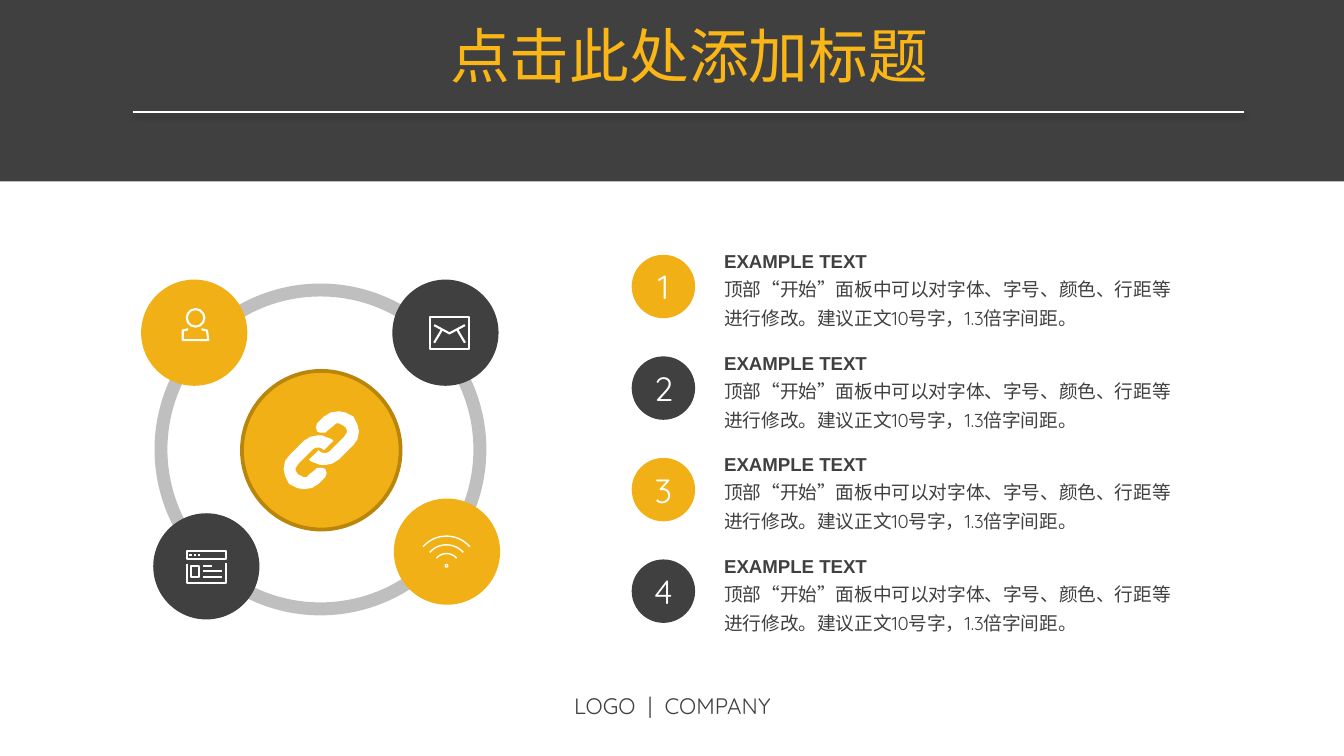
from dataclasses import dataclass
from math import cos, radians, sin

from lxml import etree
from pptx import Presentation
from pptx.dml.color import RGBColor
from pptx.enum.shapes import MSO_CONNECTOR, MSO_SHAPE
from pptx.enum.text import MSO_ANCHOR, MSO_AUTO_SIZE, PP_ALIGN
from pptx.oxml.ns import qn
from pptx.util import Pt

OVAL, RECT, DONUT = MSO_SHAPE.OVAL, MSO_SHAPE.RECTANGLE, MSO_SHAPE.DONUT
STRAIGHT = MSO_CONNECTOR.STRAIGHT
LEFT, CENTER = PP_ALIGN.LEFT, PP_ALIGN.CENTER
MIDDLE = MSO_ANCHOR.MIDDLE
GROW = MSO_AUTO_SIZE.SHAPE_TO_FIT_TEXT

COLORS = {"amber": "F1B015", "amber_edge": "B9860B", "title": "F9B616",
          "dark": "404040", "ring": "BFBFBF", "white": "FFFFFF", "black": "000000"}
DISPLAY, HEADING = "Quicksand", "Arial"
BODY = "顶部“开始”面板中可以对字体、字号、颜色、行距等进行修改。建议正文10号字，1.3倍字间距。"
ICON_LINE, THIN_LINE = 1.13, 0.75


@dataclass
class Box:
    left: float
    top: float
    width: float
    height: float

    def lengths(self) -> list:
        return [Pt(v) for v in (self.left, self.top, self.width, self.height)]


@dataclass
class Style:
    size: float
    color: str
    font: str = DISPLAY
    bold: bool = False
    align: PP_ALIGN = LEFT
    spacing: float = 1.0


def rgb(name: str) -> RGBColor:
    return RGBColor.from_string(COLORS[name])


def paint(shape, fill: str = "", line: str = "", weight: float = 1) -> None:
    shape.shadow.inherit = False
    if fill:
        shape.fill.solid()
        shape.fill.fore_color.rgb = rgb(fill)
    else:
        shape.fill.background()
    if line:
        shape.line.color.rgb = rgb(line)
        shape.line.width = Pt(weight)
    else:
        shape.line.fill.background()


def draw_shape(shapes, kind: MSO_SHAPE, box: Box, fill: str = "", line: str = "",
               weight: float = 1):
    shape = shapes.add_shape(kind, *box.lengths())
    paint(shape, fill, line, weight)
    return shape


def draw_line(shapes, start: tuple, end: tuple, weight: float = ICON_LINE):
    line = shapes.add_connector(STRAIGHT, *[Pt(v) for v in (*start, *end)])
    line.line.color.rgb = rgb("white")
    line.line.width = Pt(weight)
    effects = etree.SubElement(line._element.spPr, qn("a:effectLst"))
    return effects


def draw_outline(shapes, contours: list, close: bool = False, fill: str = "",
                 line: str = "white", weight: float = ICON_LINE) -> None:
    builder = None
    for contour in contours:
        points = [(Pt(x), Pt(y)) for x, y in contour]
        if builder is None:
            builder = shapes.build_freeform(*points[0], scale=1.0)
        else:
            builder.move_to(*points[0])
        builder.add_line_segments(points[1:], close=close)
    paint(builder.convert_to_shape(), fill, line, weight)


def write(frame, text: str, style: Style) -> None:
    frame.word_wrap = True
    para = frame.paragraphs[0]
    para.text = text
    para.alignment = style.align
    para.line_spacing = style.spacing
    span = para.runs[0].font
    span.name, span.size, span.bold = style.font, Pt(style.size), style.bold
    span.color.rgb = rgb(style.color)


def draw_text(shapes, box: Box, text: str, style: Style) -> None:
    frame = shapes.add_textbox(*box.lengths()).text_frame
    frame.auto_size = GROW
    write(frame, text, style)


# Half of the chain, as offsets from its centre; the other half is turned by 180 degrees
LINK = [(-2.2, -7.9), (0.7, -7.9), (2.2, -7.2), (4.3, -6.5), (5.8, -5.8), (6.5, -5),
        (1.4, 0), (0.7, -0.7), (-0.7, -1.4), (-2.9, -1.4), (-4.3, -0.7), (-12.2, 7.2),
        (-13.7, 9.4), (-13.7, 10.8), (-13, 12.2), (-12.2, 13), (-10.8, 13.7),
        (-9.4, 14.4), (-7.9, 14.4), (-6.5, 13), (-2.9, 10.1), (-2.2, 9.4), (0.7, 9.4),
        (2.2, 10.1), (2.9, 12.2), (2.2, 14.4), (-1.4, 18), (-5, 20.2), (-9.4, 20.9),
        (-13, 20.2), (-17.3, 18), (-19.4, 13.7), (-20.2, 10.1), (-19.4, 5.8),
        (-17.3, 2.9), (-9.4, -5), (-5.8, -7.2)]


def draw_chain(shapes, x: float, y: float) -> None:
    halves = [[(x + s * dx, y + s * dy) for dx, dy in LINK] for s in (1, -1)]
    draw_outline(shapes, halves, close=True, fill="white", line="")


def draw_person(shapes) -> None:
    draw_shape(shapes, OVAL, Box(100.1, 165.6, 9.4, 9.4), "", "white", ICON_LINE)
    draw_outline(shapes, [[(108, 176.4), (110.9, 177.1), (111.6, 182.2),
                           (97.9, 182.2), (97.9, 177.1), (100.8, 176.4)]])


def draw_envelope(shapes) -> None:
    draw_shape(shapes, RECT, Box(230.4, 169.9, 20.9, 17.3), "", "white", ICON_LINE)
    draw_outline(shapes, [[(249.1, 174.2), (240.8, 178.6), (232.6, 174.2)]])
    for outer, inner in ((232.6, 236.9), (249.1, 244.8)):
        draw_line(shapes, (outer, 183.6), (inner, 176.4))


def draw_browser(shapes) -> None:
    left, right = 100.1, 121
    for y in (295.2, 312.5):
        draw_line(shapes, (left, y), (right, y))
    for i in range(3):
        x = 101.5 + 2.2 * i
        draw_line(shapes, (x, 297.4), (x + 1.4, 297.4))
    for box in (Box(102.2, 303.1, 4.3, 5.8), Box(left, 295.2, right - left, 4.3)):
        draw_shape(shapes, RECT, box, "", "white", ICON_LINE)
    draw_outline(shapes, [[(right, 301.7), (right, 312.5), (left, 312.5), (left, 302.4)]])
    for i, end in enumerate((113.8, 118.8, 118.8)):
        y = 303.1 + 2.9 * i
        draw_line(shapes, (108.7, y), (end, y))


def draw_signal(shapes) -> None:
    x, y = 239.2, 303.8
    for radius in (16.6, 11.9, 7.2):
        arc = [(x + radius * sin(radians(a)), y - radius * cos(radians(a)))
               for a in range(-49, 50, 7)]
        draw_outline(shapes, [arc], weight=THIN_LINE)
    draw_shape(shapes, OVAL, Box(238.5, 302.4, 1.4, 1.4), "", "white", THIN_LINE)


def draw_item(shapes, number: int, color: str) -> None:
    offset = 54.4 * (number - 1)
    badge = draw_shape(shapes, OVAL, Box(338.4, 136.5 + offset, 34, 34), color)
    badge.text_frame.vertical_anchor = MIDDLE
    write(badge.text_frame, str(number), Style(18, "white", align=CENTER))
    group = shapes.add_group_shape().shapes
    draw_text(group, Box(380.9, 124.5 + offset, 179.3, 24.5), "EXAMPLE TEXT",
              Style(10, "dark", HEADING, bold=True, spacing=1.5))
    draw_text(group, Box(380.9, 141.8 + offset, 258.5, 38.2), BODY,
              Style(10, "dark", spacing=1.3))


def main() -> None:
    deck = Presentation()
    deck.slide_width, deck.slide_height = Pt(720), Pt(405)
    page = deck.slides.add_slide(deck.slide_layouts[6])
    shapes = page.shapes

    # Ring diagram
    ring = draw_shape(shapes, DONUT, Box(82.8, 151.9, 177.8, 177.8), "ring")
    ring.adjustments[0] = 0.039
    for left, top, color in ((75.6, 149.8, "amber"), (210.2, 149.8, "dark"),
                             (211, 267.1, "amber"), (82.1, 275, "dark")):
        draw_shape(shapes, OVAL, Box(left, top, 56.9, 56.9), color)
    draw_shape(shapes, OVAL, Box(129.6, 198.7, 85, 85), "amber", "amber_edge", 2)

    # Icons
    draw_chain(shapes, 172.1, 241.2)
    for draw_icon in (draw_person, draw_envelope, draw_browser, draw_signal):
        draw_icon(shapes.add_group_shape().shapes)

    # Numbered list
    for number in range(1, 5):
        draw_item(shapes, number, "amber" if number % 2 else "dark")

    # Header band, footer and title
    draw_shape(shapes, RECT, Box(0, 0, 720, 97.2), "dark")
    draw_text(shapes, Box(285.8, 370.1, 149, 19.4), "LOGO  |  COMPANY",
              Style(12, "dark", align=CENTER, spacing=0.8))
    draw_text(shapes, Box(115.9, 6.5, 506.9, 46.1), "点击此处添加标题",
              Style(32, "title", align=CENTER))

    # Title rule with a soft shadow below it
    effects = draw_line(shapes, (71.3, 59.8), (666.7, 59.8), 1)
    shadow = etree.SubElement(effects, qn("a:outerShdw"), blurRad=str(Pt(3.1)),
                              dist=str(Pt(1.6)), dir="5400000", rotWithShape="0")
    tint = etree.SubElement(shadow, qn("a:srgbClr"), val=COLORS["black"])
    etree.SubElement(tint, qn("a:alpha"), val="38000")

    deck.save("out.pptx")


if __name__ == "__main__":
    main()
